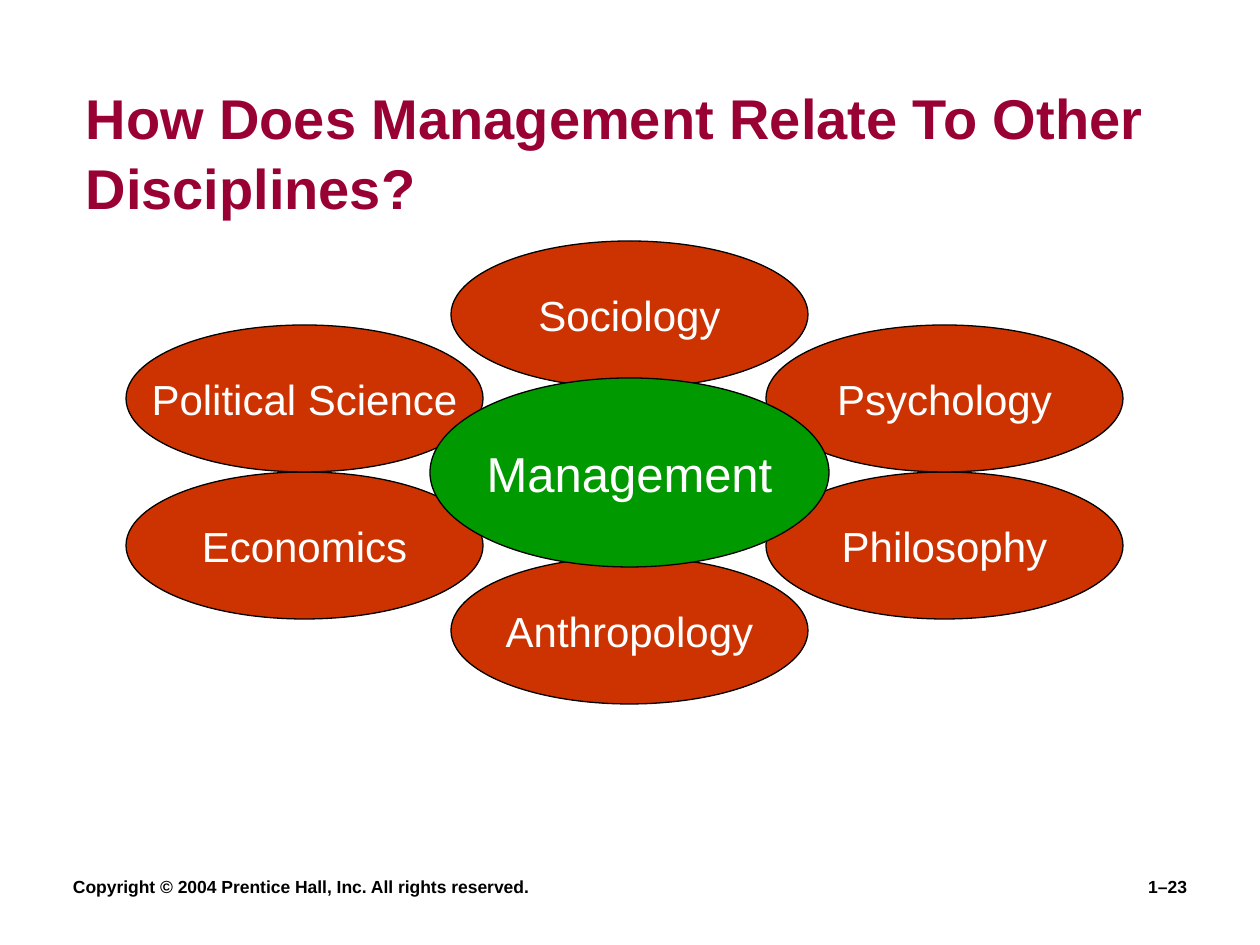
from pptx import Presentation
from pptx import util as u
from pptx.dml.color import RGBColor
from pptx.enum import shapes, text

PX = 914400 // 126
FONT = "Arial"
COLORS = {
    "title": "990033",
    "discipline": "CC3300",
    "management": "009900",
    "light": "FFFFFF",
    "dark": "000000",
}
OVAL_SIZE = (357, 147)
DISCIPLINES = [
    ("Anthropology", 451, 557),
    ("Economics", 126, 472),
    ("Philosophy", 766, 472),
    ("Political Science", 126, 325),
    ("Psychology", 766, 325),
    ("Sociology", 451, 241),
]


def color(name):
    return RGBColor.from_string(COLORS[name])


def write(box, words, size, ink, bold, align, anchor):
    frame = box.text_frame
    frame.text = words
    frame.vertical_anchor = anchor
    para = frame.paragraphs[0]
    para.alignment = align
    span = para.runs[0]
    span.font.name = FONT
    span.font.size = u.Pt(size)
    span.font.bold = bold
    span.font.color.rgb = color(ink)
    return frame


def add_title(page, words):
    box = page.shapes.title
    box.left, box.top, box.width, box.height = (n * PX for n in (73, 79, 1113, 148))
    frame = write(box, words, 32, "title", True, text.PP_ALIGN.LEFT, text.MSO_ANCHOR.BOTTOM)
    frame.word_wrap = True
    frame.auto_size = text.MSO_AUTO_SIZE.NONE
    frame.paragraphs[0].line_spacing = 1.04


def add_footer(page, words, left, width, align):
    box = page.shapes.add_textbox(left * PX, 840 * PX, width * PX, 63 * PX)
    frame = write(box, words, 10, "dark", True, align, text.MSO_ANCHOR.BOTTOM)
    frame.word_wrap = True
    frame.margin_left = frame.margin_right = 0


def add_oval(group, words, left, top, width, height, fill, size):
    oval = group.shapes.add_shape(
        shapes.MSO_SHAPE.OVAL, left * PX, top * PX, width * PX, height * PX
    )
    oval.shadow.inherit = False
    oval.fill.solid()
    oval.fill.fore_color.rgb = color(fill)
    oval.line.color.rgb = color("dark")
    oval.line.width = u.Pt(0.75)
    frame = write(oval, words, size, "light", False, text.PP_ALIGN.CENTER, text.MSO_ANCHOR.MIDDLE)
    frame.word_wrap = False


def main():
    deck = Presentation()
    deck.slide_width, deck.slide_height = 1260 * PX, 945 * PX
    page = deck.slides.add_slide(deck.slide_layouts[5])
    add_footer(page, "Copyright © 2004 Prentice Hall, Inc. All rights reserved.",
               73, 557, text.PP_ALIGN.LEFT)
    add_footer(page, "1–23", 882, 305, text.PP_ALIGN.RIGHT)
    add_title(page, "How Does Management Relate To Other Disciplines?")
    group = page.shapes.add_group_shape()
    for name, left, top in DISCIPLINES:
        add_oval(group, name, left, top, *OVAL_SIZE, "discipline", 24)
    add_oval(group, "Management", 430, 378, 399, 189, "management", 28)
    deck.save("out.pptx")


if __name__ == "__main__":
    main()
